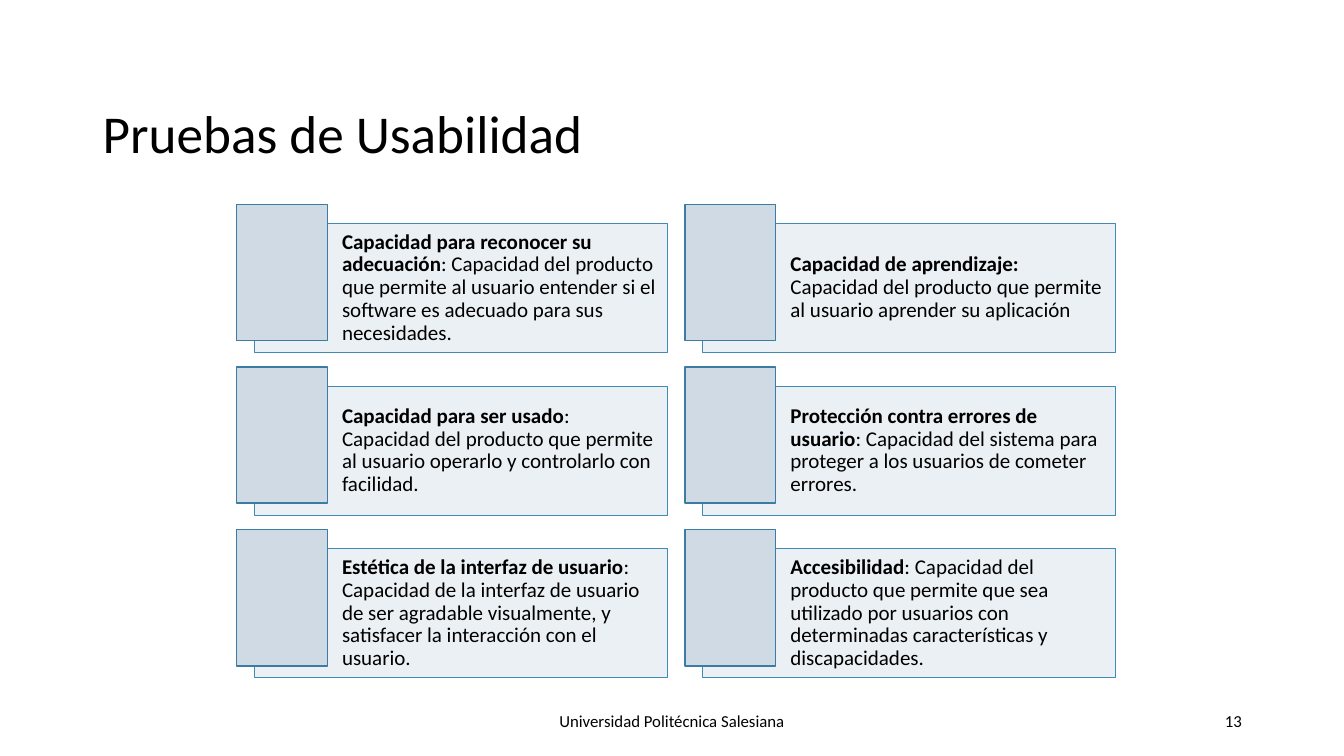
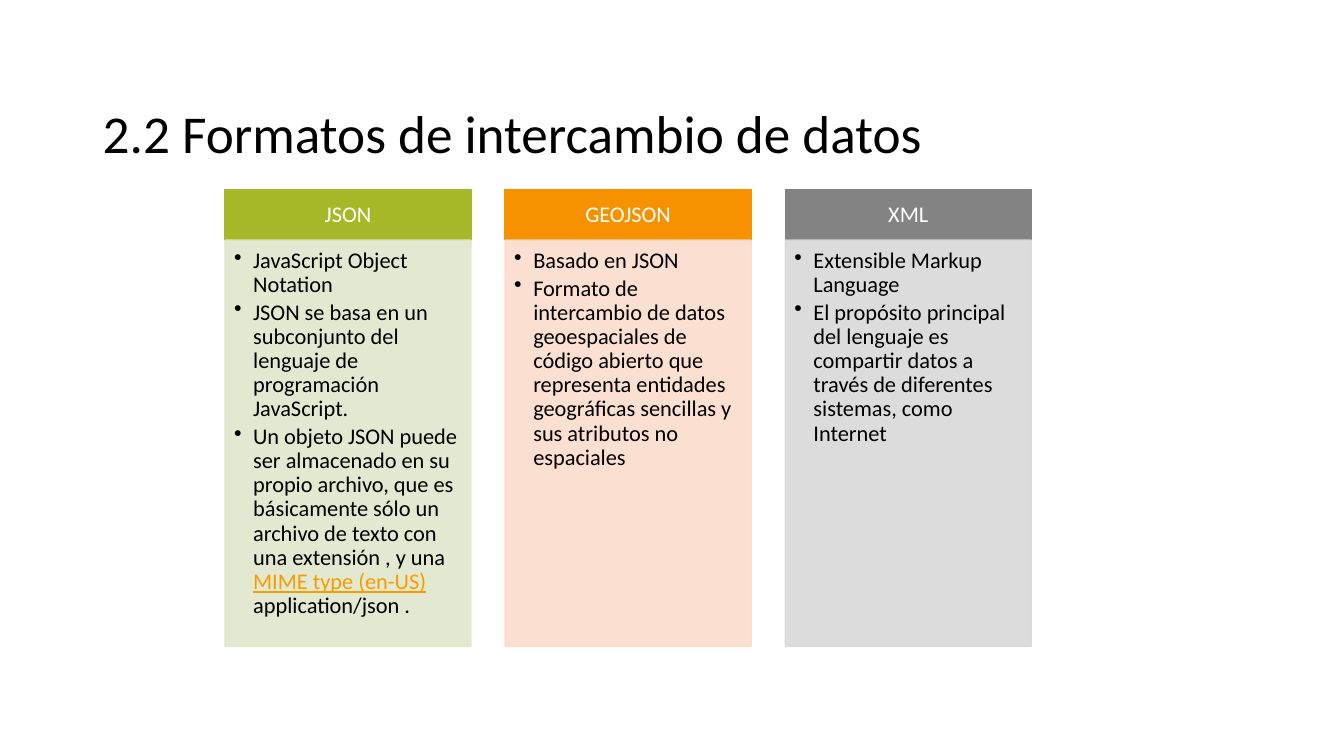
from itertools import product

from pptx import Presentation
from pptx.dml.color import RGBColor
from pptx.enum.shapes import MSO_SHAPE as Shape
from pptx.enum.text import MSO_ANCHOR as Anchor, PP_ALIGN as Align
from pptx.oxml.ns import qn
from pptx.oxml.xmlchemy import OxmlElement as Node
from pptx.util import Cm, Pt

FONT = "Calibri"
BLACK, WHITE = "000000", "FFFFFF"
PALE, EDGE, RIM = "CFDAE5", "418AB3", "3B7DA2"
LINK = "F59E00"
PAD = (0.25, 0.13, 0.25, 0.13)

CARDS = [
    ("Capacidad para reconocer su adecuación",
     ": Capacidad del producto que permite al usuario entender si el "
     "software es adecuado para sus necesidades."),
    ("Capacidad de aprendizaje: ",
     "Capacidad del producto que permite al usuario aprender su aplicación"),
    ("Capacidad para ser usado",
     ": Capacidad del producto que permite al usuario operarlo y "
     "controlarlo con facilidad."),
    ("Protección contra errores de usuario",
     ": Capacidad del sistema para proteger a los usuarios de cometer "
     "errores."),
    ("Estética de la interfaz de usuario",
     ": Capacidad de la interfaz de usuario de ser agradable visualmente, "
     "y satisfacer la interacción con el usuario."),
    ("Accesibilidad",
     ": Capacidad del producto que permite que sea utilizado por usuarios "
     "con determinadas características y discapacidades."),
]

# Each column: heading, strong colour, pale colour, paragraphs
FORMATS = [
    ("JSON", "A6B727", "E1E6CD", [
        "JavaScript Object Notation",
        "JSON se basa en un subconjunto del lenguaje de programación "
        "JavaScript.",
        [("Un objeto JSON puede ser almacenado en su propio archivo, que es "
          "básicamente sólo un archivo de texto con una extensión , y una ",
          {}),
         ("MIME type (en-US)", {"color": LINK, "line": True}),
         ("  application/json .", {})],
    ]),
    ("GEOJSON", "F69200", "FBDCCC", [
        "Basado en JSON",
        "Formato de intercambio de datos geoespaciales de código abierto "
        "que representa entidades geográficas sencillas y sus atributos no "
        "espaciales",
    ]),
    ("XML", "838383", "D9D9D9", [
        "Extensible Markup Language",
        "El propósito principal del lenguaje es compartir datos a través de "
        "diferentes sistemas, como Internet",
    ]),
]


def rgb(code):
    return RGBColor.from_string(code)


def bullet(para, indent=0.48):
    props = para._p.get_or_add_pPr()
    props.set("marL", str(Cm(indent)))
    props.set("indent", str(-Cm(indent)))
    mark = Node("a:buChar")
    mark.set("char", "•")
    props.append(mark)


def write(shape, paras, size, color=BLACK, align=Align.LEFT,
          anchor=Anchor.MIDDLE, pad=PAD, lead=0.9, after=0, dots=False):
    """Fill a shape with paragraphs: strings or lists of (text, format)."""
    frame = shape.text_frame
    frame.word_wrap = True
    frame.vertical_anchor = anchor
    (frame.margin_left, frame.margin_top,
     frame.margin_right, frame.margin_bottom) = map(Cm, pad)
    for i, runs in enumerate(paras):
        para = frame.add_paragraph() if i else frame.paragraphs[0]
        if dots:
            bullet(para)
        para.alignment = align
        para.line_spacing = lead
        para.space_after = Pt(after)
        for words, style in [(runs, {})] if isinstance(runs, str) else runs:
            run = para.add_run()
            run.text = words
            font = run.font
            font.name, font.size = FONT, Pt(size)
            font.bold = style.get("bold", False)
            font.underline = style.get("line", False)
            font.color.rgb = rgb(style.get("color", color))


def label(slide, words, area, size, **style):
    write(slide.shapes.add_textbox(*map(Cm, area)), [words], size, **style)


def block(slide, area, fill, edge, width=1, alphas=()):
    """Add a rectangle; alphas gives the opacity of fill, then of line."""
    shape = slide.shapes.add_shape(Shape.RECTANGLE, *map(Cm, area))
    shape.shadow.inherit = False
    shape.fill.solid()
    shape.fill.fore_color.rgb = rgb(fill)
    shape.line.color.rgb = rgb(edge)
    shape.line.width = Pt(width)
    tints = shape._element.spPr.iter(qn("a:srgbClr"))
    for tint, share in list(zip(tints, alphas)):
        alpha = Node("a:alpha")
        alpha.set("val", str(share * 1000))
        tint.append(alpha)
    return shape


def start(deck, title):
    slide = deck.slides.add_slide(deck.slide_layouts[6])
    label(slide, title, (2.34, 2.16, 29.21, 2.54), 38)
    return slide


def footer(slide, words, number):
    top, high = 17.65, 1.01
    label(slide, words, (11.22, top, 11.43, high), 12,
          align=Align.CENTER, lead=1)
    label(slide, number, (23.93, top, 7.62, high), 12,
          align=Align.RIGHT, lead=1)


def card(slide, left, top, head, body):
    panel = block(slide, (left + 0.45, top + 0.48, 10.41, 3.25), PALE, EDGE,
                  width=0.5, alphas=(40,))
    write(panel, [[(head, {"bold": True}), (body, {})]], 15,
          pad=(2.21, 0.15, 0.15, 0.15))
    block(slide, (left, top, 2.29, 3.43), PALE, RIM)


def column(slide, left, head, strong, pale, paras):
    top, wide, high = 4.78, 6.2, 1.27
    bar = block(slide, (left, top, wide, high), strong, strong)
    write(bar, [head], 16, color=WHITE, align=Align.CENTER,
          pad=(0.3, 0.18, 0.3, 0.18))
    panel = block(slide, (left, top + high, wide, 10.24), pale, pale,
                  alphas=(90, 90))
    write(panel, paras, 16, anchor=Anchor.TOP, after=2.4, dots=True,
          pad=(0.23, 0.23, 0.3, 0.36))


def main():
    deck = Presentation()
    deck.slide_width, deck.slide_height = Cm(33.87), Cm(19.05)

    slide = start(deck, "Pruebas de Usabilidad")
    for (row, col), texts in zip(product(range(3), range(2)), CARDS):
        card(slide, 5.96 + 11.3 * col, 5.15 + 4.1 * row, *texts)
    footer(slide, "Universidad Politécnica Salesiana", "13")

    slide = start(deck, "2.2 Formatos de intercambio de datos")
    for i, parts in enumerate(FORMATS):
        column(slide, 5.67 + 7.06 * i, *parts)

    deck.save("out.pptx")


if __name__ == "__main__":
    main()
